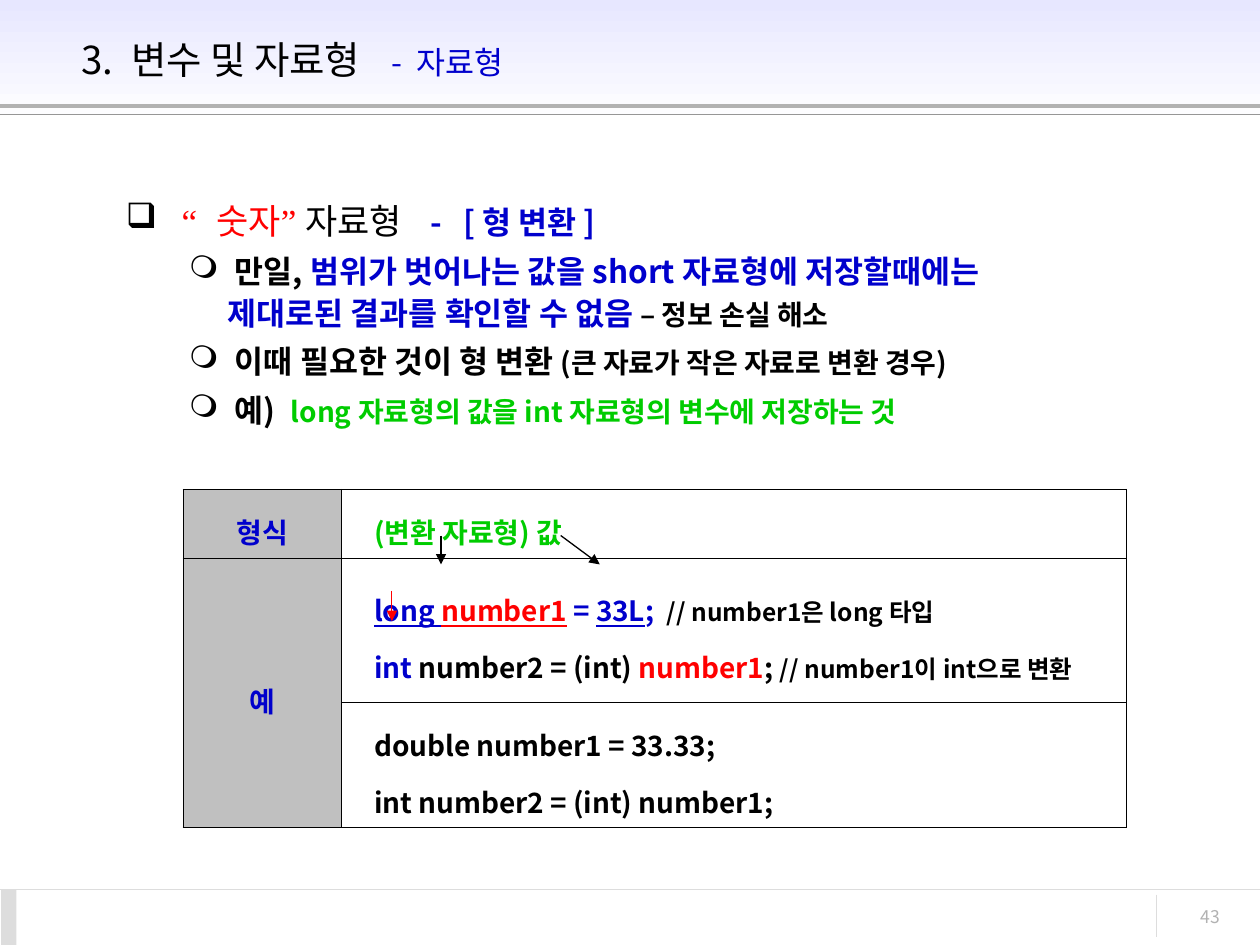
from dataclasses import dataclass

from lxml import etree
from pptx import Presentation
from pptx.dml.color import RGBColor
from pptx.enum.shapes import MSO_CONNECTOR, MSO_SHAPE
from pptx.enum.text import MSO_ANCHOR, PP_ALIGN
from pptx.oxml.ns import qn
from pptx.util import Inches, Pt

STRAIGHT = MSO_CONNECTOR.STRAIGHT
RECTANGLE = MSO_SHAPE.RECTANGLE
TOP, MIDDLE = MSO_ANCHOR.TOP, MSO_ANCHOR.MIDDLE
LEFT, CENTER = PP_ALIGN.LEFT, PP_ALIGN.CENTER
RIGHT, JUSTIFY = PP_ALIGN.RIGHT, PP_ALIGN.JUSTIFY

WIDTH, HEIGHT = Inches(10), Inches(7.5)
KOREAN, SERIF = "Noto Sans CJK KR", "Times New Roman"
BLACK, WHITE, BLUE, RED, GREEN = "000000", "FFFFFF", "0000CC", "FF0000", "00CC00"
SILVER, PALE, LAVENDER = "C0C0C0", "DDDDDD", "E7E7FF"


@dataclass(frozen=True)
class Span:
    text: str
    size: float
    color: str = BLACK
    bold: bool = False
    underline: bool = False
    face: str = KOREAN
    spacing: float = 0  # extra points after each letter


@dataclass(frozen=True)
class Para:
    spans: tuple
    align: PP_ALIGN = LEFT
    line_spacing: float = 1.0
    space_before: float = 0
    margin: float = 0  # inches
    hanging: float = 0  # inches
    bullet: str = ""


@dataclass(frozen=True)
class Line:
    """Ends in percent of the slide's width and height."""
    start: tuple
    end: tuple
    color: str
    weight: float = 0.75
    arrow: bool = False


def across(percent: float) -> int:
    return round(WIDTH * percent / 100)


def down(percent: float) -> int:
    return round(HEIGHT * percent / 100)


def place(left: float, top: float, width: float, height: float) -> tuple:
    return across(left), down(top), across(width), down(height)


def rgb(color: str) -> RGBColor:
    return RGBColor.from_string(color)


def add(parent, tag: str, **values):
    return etree.SubElement(parent, qn(tag), values)


def write_span(paragraph, span: Span) -> None:
    run = paragraph.add_run()
    run.text = span.text
    formats = {"name": span.face, "size": Pt(span.size),
               "bold": span.bold, "underline": span.underline}
    for name, value in formats.items():
        setattr(run.font, name, value)
    run.font.color.rgb = rgb(span.color)
    properties = run._r.get_or_add_rPr()
    add(properties, "a:ea", typeface=span.face)
    if span.spacing:
        properties.set("spc", str(round(span.spacing * 100)))


def write_paras(frame, paras: tuple) -> None:
    for index, para in enumerate(paras):
        paragraph = frame.add_paragraph() if index else frame.paragraphs[0]
        properties = paragraph._p.get_or_add_pPr()
        properties.set("marL", str(Inches(para.margin)))
        properties.set("indent", str(-Inches(para.hanging)))
        if para.bullet:
            add(add(properties, "a:buClr"), "a:srgbClr", val=BLACK)
            add(properties, "a:buChar", char=para.bullet)
        formats = {"alignment": para.align, "line_spacing": para.line_spacing,
                   "space_before": Pt(para.space_before)}
        for name, value in formats.items():
            setattr(paragraph, name, value)
        for span in para.spans:
            write_span(paragraph, span)


def draw_text(page, area: tuple, paras: tuple, anchor: MSO_ANCHOR = TOP) -> None:
    frame = page.shapes.add_textbox(*place(*area)).text_frame
    frame.word_wrap = True
    frame.vertical_anchor = anchor
    write_paras(frame, paras)


def draw_band(page, area: tuple, *colors: str) -> None:
    """Rectangle in one colour, or fading downwards through two."""
    band = page.shapes.add_shape(RECTANGLE, *place(*area))
    band.shadow.inherit = False
    band.line.fill.background()
    if len(colors) == 1:
        band.fill.solid()
        band.fill.fore_color.rgb = rgb(colors[0])
        return
    band.fill.gradient()
    band.fill.gradient_angle = 270
    for stop, color in zip(band.fill.gradient_stops, colors):
        stop.color.rgb = rgb(color)


def draw_line(page, line: Line) -> None:
    (x1, y1), (x2, y2) = line.start, line.end
    connector = page.shapes.add_connector(
        STRAIGHT, across(x1), down(y1), across(x2), down(y2))
    connector.line.color.rgb = rgb(line.color)
    connector.line.width = Pt(line.weight)
    if line.arrow:
        add(connector.line._get_or_add_ln(), "a:tailEnd", type="triangle")
    add(connector._element.spPr, "a:effectLst")


def format_cell(cell, fill: str) -> None:
    formats = {"vertical_anchor": MIDDLE,
               "margin_left": Inches(0.07), "margin_right": Inches(0.07),
               "margin_top": Inches(0.05), "margin_bottom": Inches(0.05)}
    for name, value in formats.items():
        setattr(cell, name, value)
    properties = cell._tc.get_or_add_tcPr()
    for side in ("a:lnL", "a:lnR", "a:lnT", "a:lnB"):
        border = add(properties, side, w=str(Pt(0.11)))
        add(add(border, "a:solidFill"), "a:srgbClr", val=BLACK)
    if fill:
        cell.fill.solid()
        cell.fill.fore_color.rgb = rgb(fill)
    else:
        cell.fill.background()


def draw_table(page, left: float, top: float, columns: tuple, rows: tuple, cells: dict) -> None:
    area = place(left, top, sum(columns), sum(rows))
    table = page.shapes.add_table(len(rows), len(columns), *area).table
    table.first_row = table.horz_banding = False
    for column, width in zip(table.columns, columns):
        column.width = across(width)
    for row, height in zip(table.rows, rows):
        row.height = down(height)
    for row in range(len(rows)):
        for column in range(len(columns)):
            format_cell(table.cell(row, column), "" if column else SILVER)
    table.cell(1, 0).merge(table.cell(2, 0))
    for (row, column), paras in cells.items():
        write_paras(table.cell(row, column).text_frame, paras)


def gap(size: float, spacing: float) -> Span:
    return Span(" ", size, spacing=spacing)


def strong(text: str, size: float = 16, color: str = BLACK, underline: bool = False) -> Span:
    return Span(text, size, color, True, underline)


def item(*spans: Span) -> Para:
    return Para(spans, LEFT, 1.1, 4, 0.81, 0.31, "❍")


def label(text: str) -> tuple:
    return (Para((strong(text, color=BLUE),), CENTER, 1.4),)


def code(*spans: Span) -> Para:
    return Para(spans, JUSTIFY, 1.4, margin=0.19)


TITLE = (Para((Span("3.", 22), gap(22, 5), Span("변수 및 자료형", 22), gap(22, 13),
               Span("-", 18, BLUE), gap(18, 4), Span("자료형", 18, BLUE))),)
BODY = (
    Para((Span(" ", 20, BLUE), Span("“", 20, RED, face=SERIF, spacing=11),
          Span("숫자", 20, RED), Span("” ", 20, RED, face=SERIF),
          Span("자료형", 20), gap(20, 12),
          strong("-", 18, BLUE), gap(18, 8), strong("[ 형 변환 ]", 18, BLUE)),
         LEFT, 1.1, 0, 0.38, 0.38, "❑"),
    item(strong(" 만일, ", 18),
         strong("범위가 벗어나는 값을 short 자료형에 저장할때에는 "
                "제대로된 결과를 확인할 수 없음 ", 18, BLUE),
         strong("– 정보 손실 해소")),
    item(strong(" 이때 필요한 것이 형 변환 ", 18), strong("(큰 자료가 작은 자료로 변환 경우)")),
    item(strong(" 예)", 18), gap(18, 4.5),
         strong("long 자료형의 값을 int 자료형의 변수에 저장하는 것", color=GREEN)),
)
CELLS = {
    (0, 0): label("형식"),
    (0, 1): (code(strong("(변환 자료형) 값", color=GREEN)),),
    (1, 0): label("예"),
    (1, 1): (
        code(strong("long ", 16, BLUE, True), strong("number1", 16, RED, True),
             strong(" = ", 16, BLUE), strong("33L", 16, BLUE, True),
             strong(";", 16, BLUE), gap(16, 3.6), strong("// number1은 long 타입", 14)),
        code(strong("int", 16, BLUE), strong(" number2 = (int) "),
             strong("number1", 16, RED), strong("; "),
             strong("// number1이 int으로 변환", 14))),
    (2, 1): (code(strong("double number1 = 33.33;")),
             code(strong("int number2 = (int) number1;"))),
}
RULES = (
    Line((0, 11.2), (100, 11.2), "B2B2B2", 2.25),
    Line((0, 12.13), (100, 12.13), "969696"),
    Line((0, 94.13), (100, 94.13), PALE),
    Line((91.8, 94.67), (91.8, 99.2), PALE),
)
ARROWS = (
    Line((35, 56.67), (35, 59.73), BLACK, arrow=True),
    Line((44.5, 56.67), (47.6, 59.73), BLACK, arrow=True),
    Line((31.1, 62.53), (31.1, 65.73), RED, arrow=True),
)


def main() -> None:
    deck = Presentation()
    deck.slide_width, deck.slide_height = WIDTH, HEIGHT
    page = deck.slides.add_slide(deck.slide_layouts[6])
    draw_band(page, (0, 0, 100, 13.33), LAVENDER, WHITE)
    draw_band(page, (0.1, 94.13, 1.2, 5.87), PALE)
    for rule in RULES:
        draw_line(page, rule)
    draw_text(page, (88.6, 95.2, 9.2, 4.4), (Para((Span("43", 10, "B2B2B2"),), RIGHT),))
    draw_text(page, (5.5, 1.73, 86.3, 9.07), TITLE, MIDDLE)
    draw_text(page, (9, 20, 77.2, 68.93), BODY)
    draw_table(page, 14.5, 51.73, (12.6, 62.3), (7.3, 15.25, 13.25), CELLS)
    for arrow in ARROWS:
        draw_line(page, arrow)
    deck.save("out.pptx")


if __name__ == "__main__":
    main()
